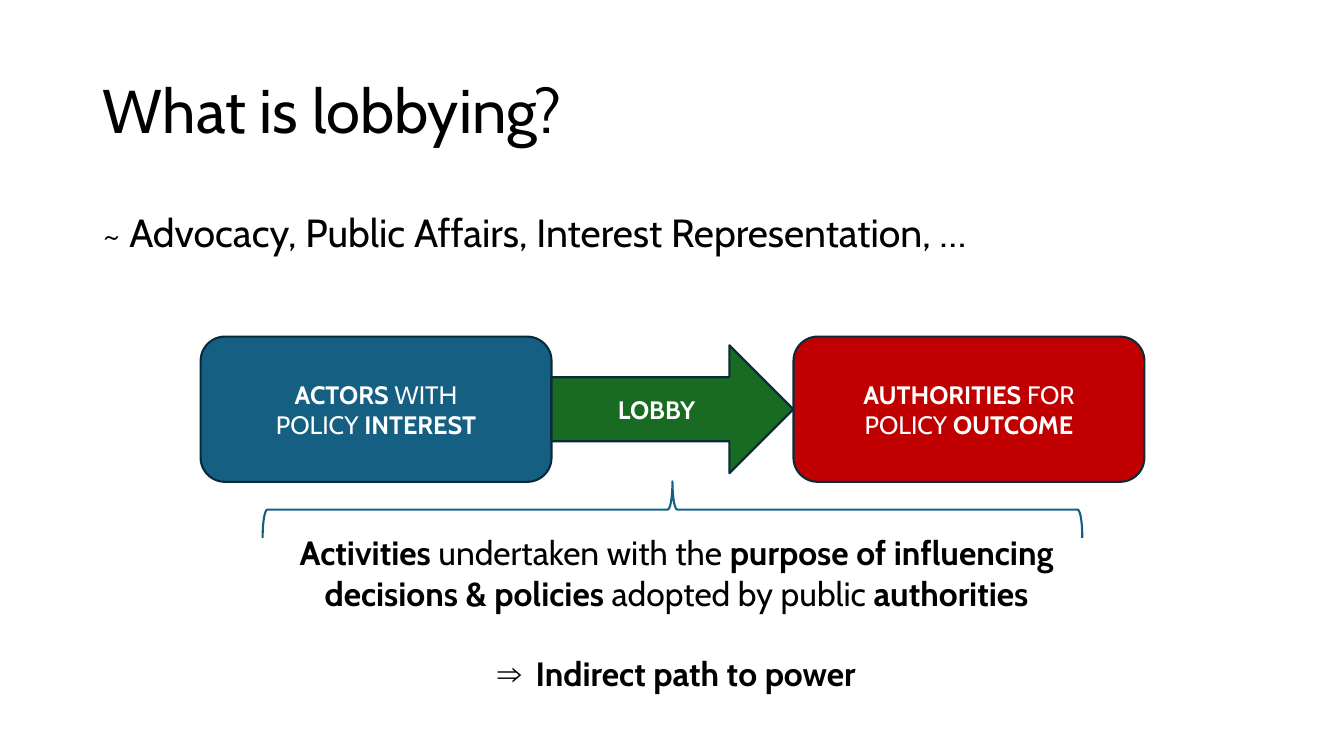
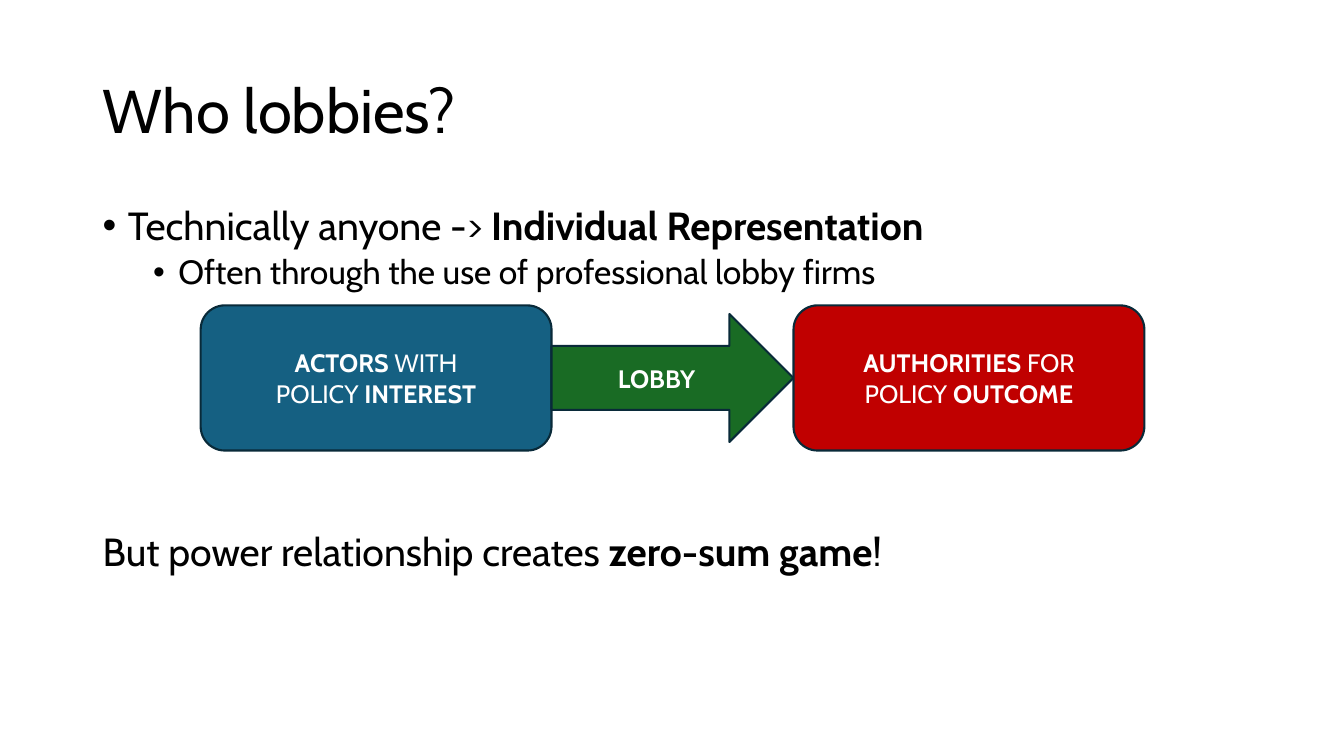
from lxml import etree
from pptx import Presentation
from pptx.dml.color import RGBColor
from pptx.enum import shapes, text
from pptx.oxml import ns
from pptx.util import Inches, Pt

FONT = "Cabin"
BLACK, WHITE = "000000", "FFFFFF"
BLUE, GREEN, RED, EDGE = "156082", "196B24", "C00000", "092A39"
KIND = shapes.MSO_SHAPE
ALIGN = text.PP_ALIGN
LEFT, WIDE = 0.92, 11.5  # shared margin and width of title and body


def color(code):
    return RGBColor.from_string(code)


def place(box):
    return [Inches(v) for v in box]


def bullet(para, char, left, hang):
    """Give a paragraph a bullet with a hanging indent."""
    props = para._p.get_or_add_pPr()
    props.set("marL", str(Inches(left)))
    props.set("indent", str(-Inches(hang)))
    etree.SubElement(props, ns.qn("a:buFont")).set("typeface", "Arial")
    etree.SubElement(props, ns.qn("a:buChar")).set("char", char)


def write(para, words, size, ink=BLACK, align=ALIGN.LEFT, line=1.0,
          before=0, mark=None):
    """Fill a paragraph; parts between asterisks are bold."""
    if mark:
        bullet(para, *mark)
    para.alignment = align
    para.line_spacing = line
    para.space_before = Pt(before)
    font = para.font
    font.name, font.size = FONT, Pt(size)
    font.color.rgb = color(ink)
    for i, part in enumerate(words.split("*")):
        if part:
            run = para.add_run()
            run.text = part
            run.font.bold = i % 2 == 1


def fill(frame, paras, **style):
    """Write (words, options) pairs as the paragraphs of a frame."""
    frame.word_wrap = True
    for i, (words, extra) in enumerate(paras):
        para = frame.add_paragraph() if i else frame.paragraphs[0]
        write(para, words, **{**style, **extra})


def start(deck, title):
    """Add a title-only slide with the shared title style."""
    slide = deck.slides.add_slide(deck.slide_layouts[5])
    head = slide.shapes.title
    head.left, head.top, head.width, head.height = place((LEFT, 0.4, WIDE, 1.45))
    frame = head.text_frame
    frame.auto_size = text.MSO_AUTO_SIZE.NONE
    frame.vertical_anchor = text.MSO_ANCHOR.MIDDLE
    fill(frame, [(title, {})], size=44, line=0.9)
    return slide


def note(slide, box, paras, **style):
    fill(slide.shapes.add_textbox(*place(box)).text_frame, paras, **style)


def shape(slide, kind, box, edge, back=None):
    item = slide.shapes.add_shape(kind, *place(box))
    item.shadow.inherit = False
    if back:
        item.fill.solid()
        item.fill.fore_color.rgb = color(back)
    else:
        item.fill.background()
    item.line.color.rgb = color(edge)
    item.line.width = Pt(1.5)
    return item


def flow(slide, left, top):
    """Draw actors, lobby arrow and authorities in a row."""
    wide, high, gap, tall = 3.48, 1.44, 2.4, 1.27
    parts = [
        (KIND.ROUNDED_RECTANGLE, wide, high, BLUE,
         ["*ACTORS* WITH", "POLICY *INTEREST*"]),
        (KIND.RIGHT_ARROW, gap, tall, GREEN, ["*LOBBY*"]),
        (KIND.ROUNDED_RECTANGLE, wide, high, RED,
         ["*AUTHORITIES* FOR", "POLICY *OUTCOME*"]),
    ]
    for kind, w, h, back, lines in parts:
        item = shape(slide, kind, (left, top + (high - h) / 2, w, h), EDGE, back)
        item.text_frame.vertical_anchor = text.MSO_ANCHOR.MIDDLE
        fill(item.text_frame, [(words, {}) for words in lines],
             size=18, ink=WHITE, align=ALIGN.CENTER)
        left += w


def what(deck):
    slide = start(deck, "What is lobbying?")
    note(slide, (LEFT, 2.07, WIDE, 0.6),
         [("~ Advocacy, Public Affairs, Interest Representation, …", {})],
         size=28, line=0.9)
    flow(slide, 1.99, 3.34)
    # Brace turned to point up at the flow
    brace = shape(slide, KIND.RIGHT_BRACE, (6.39, 0.99, 0.56, 8.13), BLUE)
    brace.rotation = 270
    # Definition
    note(slide, (2.69, 5.23, 8.04, 1.72), [
        ("*Activities* undertaken with the *purpose of influencing decisions"
         " & policies *adopted by public *authorities*", {}),
        ("*Indirect path to power*",
         {"before": 29, "mark": ("⇒", 0.38, 0.38)}),
    ], size=24, align=ALIGN.CENTER)


def who(deck):
    slide = start(deck, "Who lobbies?")
    # The last line sits below the flow
    note(slide, (LEFT, 2, WIDE, 4.76), [
        ("Technically anyone -> *Individual Representation*",
         {"mark": ("•", 0.25, 0.25)}),
        ("Often through the use of professional lobby firms",
         {"size": 24, "before": 5, "mark": ("•", 0.75, 0.25)}),
        ("But power relationship creates *zero-sum game*!", {"before": 172}),
    ], size=28, line=0.9)
    flow(slide, 1.99, 3.03)


def main():
    deck = Presentation()
    deck.slide_width, deck.slide_height = Inches(13.33), Inches(7.5)
    what(deck)
    who(deck)
    deck.save("out.pptx")


if __name__ == "__main__":
    main()
